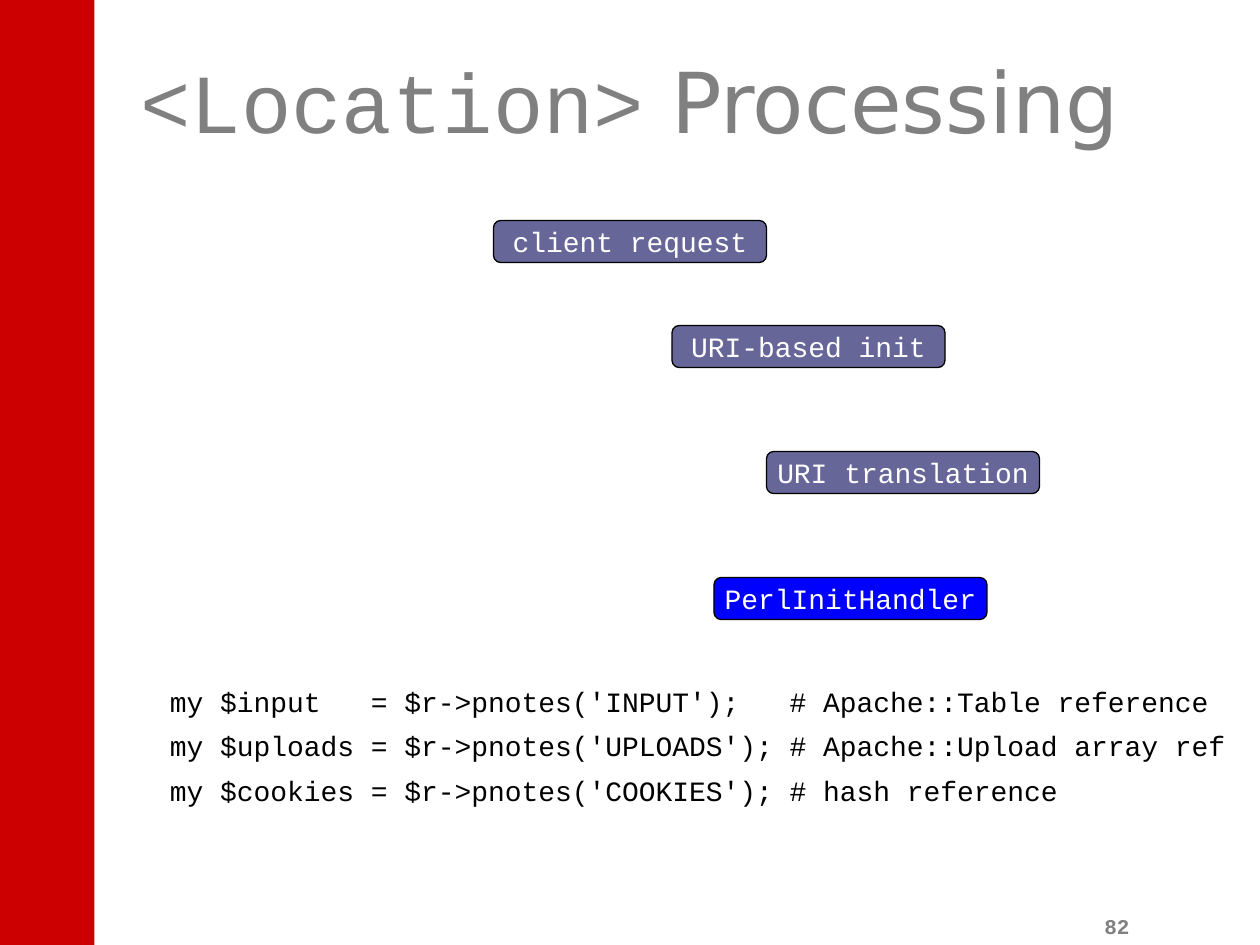
import dataclasses

import pptx
import pptx.dml.color
import pptx.enum.shapes
import pptx.enum.text
import pptx.util

ALIGN = pptx.enum.text.PP_ALIGN
ANCHOR = pptx.enum.text.MSO_ANCHOR
SHAPE = pptx.enum.shapes.MSO_SHAPE


@dataclasses.dataclass(frozen=True)
class Theme:
    """Colours, fonts and type sizes of the slide."""

    band: str = "CC0000"
    grey: str = "808080"
    phase: str = "666699"
    handler: str = "0000FF"
    black: str = "000000"
    white: str = "FFFFFF"
    code_font: str = "Courier New"
    title_font: str = "DejaVu Sans"
    title_size: int = 48
    body_size: int = 16
    number_size: int = 12


THEME = Theme()
COLUMNS, ROWS = 120, 90
CELL = pptx.util.Inches(10) // COLUMNS
STEPS = [
    ("client request", 38, 4, THEME.phase),
    ("URI-based init", 55, 14, THEME.phase),
    ("URI translation", 64, 26, THEME.phase),
    ("PerlInitHandler", 59, 38, THEME.handler),
]
CODE = [
    "my $input   = $r->pnotes('INPUT');   # Apache::Table reference",
    "my $uploads = $r->pnotes('UPLOADS'); # Apache::Upload array ref",
    "my $cookies = $r->pnotes('COOKIES'); # hash reference",
]


def cells(box):
    """Turn a box in columns and rows into lengths."""
    return [value * CELL for value in box]


def rgb(colour):
    """Return the colour object of a hex string."""
    return pptx.dml.color.RGBColor.from_string(colour)


def add_run(paragraph, text, size, colour, font=THEME.code_font, bold=False):
    """Add one styled run to a paragraph."""
    run = paragraph.add_run()
    run.text = text
    run.font.name = font
    run.font.size = pptx.util.Pt(size)
    run.font.bold = bold
    run.font.color.rgb = rgb(colour)


def add_frame(slide, box, anchor):
    """Add a wrapping text box and return its text frame."""
    frame = slide.shapes.add_textbox(*cells(box)).text_frame
    frame.word_wrap = True
    frame.vertical_anchor = anchor
    return frame


def add_filled(slide, kind, box, colour):
    """Add a plain filled shape without outline or shadow."""
    shape = slide.shapes.add_shape(kind, *cells(box))
    shape.shadow.inherit = False
    shape.fill.solid()
    shape.fill.fore_color.rgb = rgb(colour)
    shape.line.fill.background()
    return shape


def add_title(slide, box):
    """Place the centred two-font title."""
    paragraph = add_frame(slide, box, ANCHOR.MIDDLE).paragraphs[0]
    paragraph.alignment = ALIGN.CENTER
    add_run(paragraph, "<Location>", THEME.title_size, THEME.grey)
    add_run(paragraph, " Processing", THEME.title_size, THEME.grey, THEME.title_font)


def add_step(slide, box, text, colour):
    """Place one rounded request step with its label."""
    shape = add_filled(slide, SHAPE.ROUNDED_RECTANGLE, box, colour)
    shape.adjustments[0] = 0.17
    shape.line.color.rgb = rgb(THEME.black)
    shape.line.width = pptx.util.Pt(0.75)
    frame = shape.text_frame
    frame.word_wrap = False
    frame.vertical_anchor = ANCHOR.MIDDLE
    paragraph = frame.paragraphs[0]
    paragraph.alignment = ALIGN.CENTER
    add_run(paragraph, text, THEME.body_size, THEME.white)


def add_steps(slide, box):
    """Place the request steps relative to the diagram's corner."""
    left, top, _, _ = box
    for text, column, row, colour in STEPS:
        add_step(slide, (left + column, top + row, 26, 4), text, colour)


def add_code(slide, box):
    """Place the indented code lines."""
    frame = add_frame(slide, box, ANCHOR.TOP)
    for index, line in enumerate(CODE):
        paragraph = frame.add_paragraph() if index else frame.paragraphs[0]
        properties = paragraph._p.get_or_add_pPr()
        properties.set("marL", str(6 * CELL))
        properties.set("indent", "0")
        paragraph.line_spacing = 0.9
        paragraph.space_before = pptx.util.Pt(4 if index else 0)
        paragraph.space_after = pptx.util.Pt(4)
        add_run(paragraph, line, THEME.body_size, THEME.black)


def add_page_number(slide, box):
    """Place the page number at the foot of its box."""
    paragraph = add_frame(slide, box, ANCHOR.BOTTOM).paragraphs[0]
    add_run(paragraph, "82", THEME.number_size, THEME.grey, bold=True)


def main():
    """Build and save the slide."""
    presentation = pptx.Presentation()
    presentation.slide_width = COLUMNS * CELL
    presentation.slide_height = ROWS * CELL
    slide = presentation.slides.add_slide(presentation.slide_layouts[6])
    margin = 9
    add_page_number(slide, (104, 84, 7, 6))
    add_filled(slide, SHAPE.RECTANGLE, (0, 0, margin, ROWS), THEME.band)
    add_title(slide, (margin, 2, 102, 15))
    add_steps(slide, (margin, 17, 102, 48))
    add_code(slide, (margin, 65, COLUMNS - margin, 18))
    presentation.save("out.pptx")


if __name__ == "__main__":
    main()
